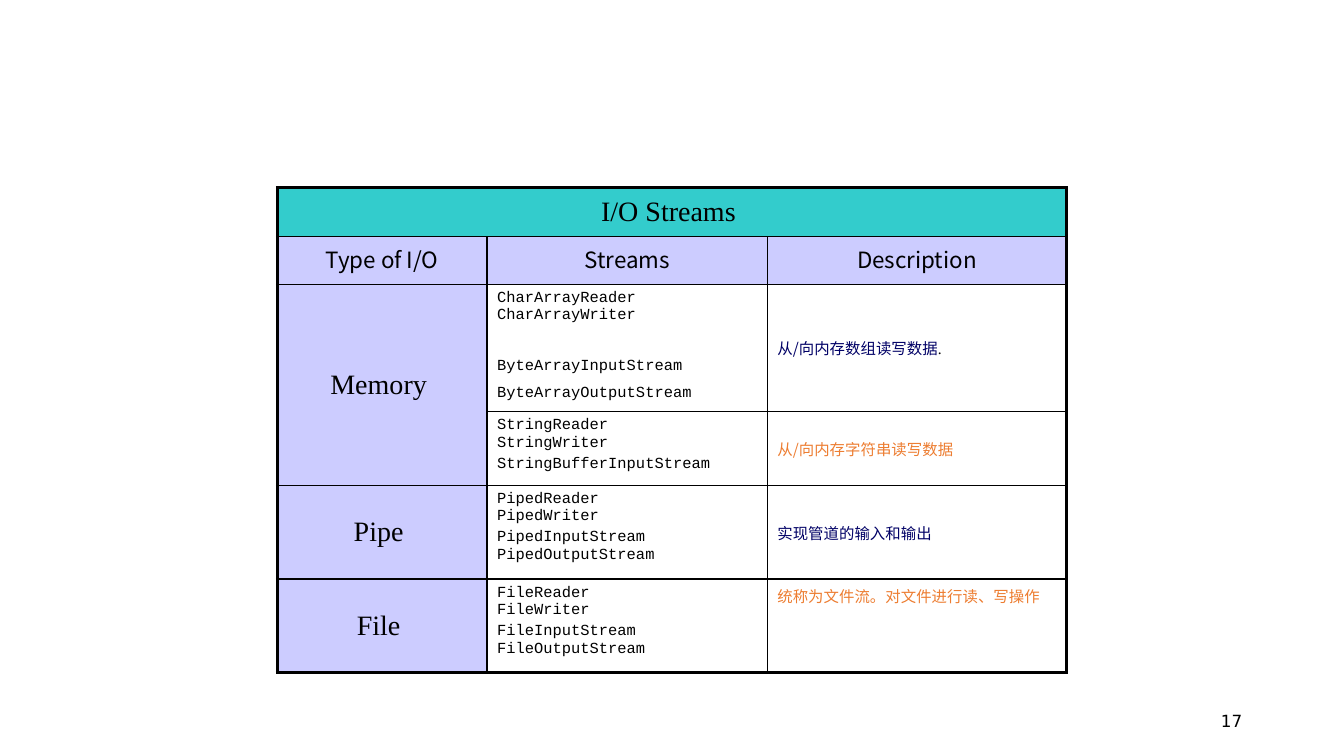
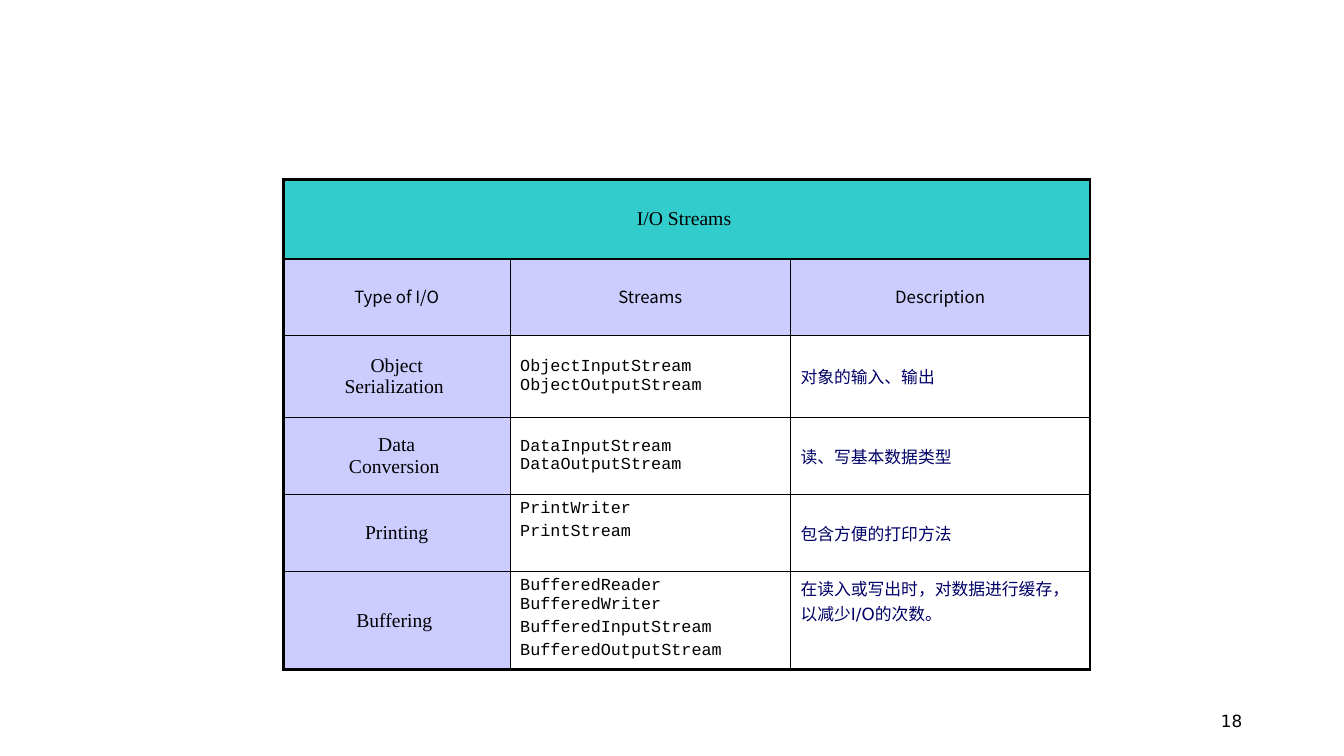
"""Two slides of I/O stream tables."""
from dataclasses import dataclass

import lxml.etree
import pptx
import pptx.dml.color
import pptx.enum.text
import pptx.oxml.ns
import pptx.util

Inches = pptx.util.Inches
Pt = pptx.util.Pt
RGBColor = pptx.dml.color.RGBColor
Align = pptx.enum.text.PP_ALIGN
Anchor = pptx.enum.text.MSO_ANCHOR
qn = pptx.oxml.ns.qn
Child = lxml.etree.SubElement

BLACK = RGBColor(0x00, 0x00, 0x00)
TEAL = RGBColor(0x33, 0xCC, 0xCC)
LILAC = RGBColor(0xCC, 0xCC, 0xFF)
NAVY = RGBColor(0x00, 0x00, 0x66)
ORANGE = RGBColor(0xED, 0x7D, 0x31)
SERIF, MONO, SANS, HAN = "Times New Roman", "Courier New", "DejaVu Sans", "Noto Sans CJK SC"
TITLE = "I/O Streams "
HEADS = ("Type of I/O", "Streams", "Description")
THIN, THICK = 1, 2.25


@dataclass
class Look:
    """Font, size and colour of a run."""
    font: str
    size: float
    color: RGBColor = BLACK


@dataclass
class Bit:
    """A piece of a description."""
    text: str
    color: RGBColor = NAVY
    font: str = HAN


@dataclass
class Row:
    """A body row; an empty label joins the row above."""
    label: str
    codes: str
    note: tuple[Bit, ...]
    code_mid: bool = False
    note_mid: bool = True
    lead: float = 0
    tail: float = 0


@dataclass
class Grid:
    """A stream table and its page number."""
    page: str
    left: float
    top: float
    cols: tuple[float, ...]
    highs: tuple[float, ...]
    big: float
    head: float
    body: float
    rows: tuple[Row, ...]


GRIDS = (
    Grid("17", 2.75, 1.86, (2.08, 2.78, 2.97), (0.49, 0.47, 1.26, 0.73, 0.93, 0.93),
         20, 16, 11, (
             Row("Memory ", "CharArrayReader\vCharArrayWriter\n"
                 "ByteArrayInputStream\vByteArrayOutputStream",
                 (Bit("从/向内存数组读写数据"), Bit(".", BLACK, SERIF)), lead=24, tail=20),
             Row("", "StringReader\vStringWriter\nStringBufferInputStream",
                 (Bit("从/向内存字符串读写数据", ORANGE),)),
             Row("Pipe ", "PipedReader\vPipedWriter\nPipedInputStream\vPipedOutputStream",
                 (Bit("实现管道的输入和输出"),)),
             Row("File ", "FileReader\vFileWriter\nFileInputStream\vFileOutputStream",
                 (Bit("统称为文件流。对文件进行读、写操作", ORANGE),), note_mid=False))),
    Grid("18", 2.81, 1.78, (2.25, 2.78, 2.97), (0.79, 0.76, 0.81, 0.77, 0.76, 0.97),
         14, 12, 12, (
             Row("Object\vSerialization ", "ObjectInputStream\vObjectOutputStream",
                 (Bit("对象的输入、输出"),), code_mid=True),
             Row("Data\vConversion ", "DataInputStream\vDataOutputStream",
                 (Bit("读、写基本数据类型"),), code_mid=True),
             Row(" Printing ", "PrintWriter\nPrintStream", (Bit("包含方便的打印方法"),)),
             Row("Buffering ", "BufferedReader\vBufferedWriter\n"
                 "BufferedInputStream\vBufferedOutputStream",
                 (Bit("在读入或写出时，对数据进行缓存，以减少"), Bit("I/O", font=SANS),
                  Bit("的次数。")), note_mid=False, tail=14))),
)


def style(run, look: Look) -> None:
    """Format one run, for Latin and Chinese text alike."""
    run.font.size = Pt(look.size)
    run.font.color.rgb = look.color
    run.font.name = look.font
    Child(run.font._element, qn("a:ea"), typeface=HAN if look.font == SANS else look.font)


def append(para, text: str, look: Look) -> None:
    """Add a formatted run to a paragraph."""
    run = para.add_run()
    run.text = text
    style(run, look)


def write(cell, text: str, look: Look, align=Align.LEFT, mid: bool = True) -> None:
    """Put text in a cell, each paragraph a fifth of a line apart."""
    cell.text_frame.text = text
    cell.vertical_anchor = Anchor.MIDDLE if mid else Anchor.TOP
    for para in cell.text_frame.paragraphs:
        para.alignment = align
        space = Child(para._p.get_or_add_pPr(), qn("a:spcBef"))
        Child(space, qn("a:spcPct"), val="20000")
        for run in para.runs:
            style(run, look)
        for stop in para._p.findall(qn("a:br")):
            Child(stop, qn("a:rPr"), sz=str(int(look.size * 100)))


def edge(cell, tag: str, width: float) -> None:
    """Draw one black side of a cell."""
    line = Child(cell._tc.get_or_add_tcPr(), qn(tag), w=str(int(Pt(width))))
    Child(Child(line, qn("a:solidFill")), qn("a:srgbClr"), val=str(BLACK))


def frame(table, row: int, col: int) -> None:
    """Give a cell its borders and fill by its place in the table."""
    cell = table.cell(row, col)
    wide = cell.span_width if cell.is_merge_origin else 1
    last = len(table.rows) - 1
    sides = (("a:lnL", col == 0), ("a:lnR", col + wide == len(table.columns)),
             ("a:lnT", row == 0), ("a:lnB", row == last))
    for tag, outer in sides:
        edge(cell, tag, THICK if outer else THIN)
    if row > 1 and col > 0:
        cell.fill.background()
    else:
        cell.fill.solid()
        cell.fill.fore_color.rgb = LILAC if row else TEAL


def fill_row(table, at: int, row: Row, grid: Grid) -> None:
    """Write the label, streams and description of a body row."""
    label, codes, note = (table.cell(at, col) for col in range(3))
    if row.label:
        write(label, row.label, Look(SERIF, grid.big), Align.CENTER)
    else:
        table.cell(at - 1, 0).merge(label)
    write(codes, row.codes, Look(MONO, grid.body), mid=row.code_mid)
    final = codes.text_frame.paragraphs[-1]
    if row.lead:
        final.space_before = Pt(row.lead)
        final.line_spacing = 0.9
    if row.tail:
        append(final, " ", Look(SANS, row.tail))
    first, *rest = row.note
    write(note, first.text, Look(first.font, grid.body, first.color), mid=row.note_mid)
    for bit in rest:
        append(note.text_frame.paragraphs[0], bit.text, Look(bit.font, grid.body, bit.color))


def draw_grid(slide, grid: Grid) -> None:
    """Draw the stream table."""
    table = slide.shapes.add_table(
        len(grid.highs), len(grid.cols), Inches(grid.left), Inches(grid.top),
        Inches(sum(grid.cols)), Inches(sum(grid.highs))).table
    table.first_row = table.horz_banding = False
    for col, width in zip(table.columns, grid.cols):
        col.width = Inches(width)
    for row, high in zip(table.rows, grid.highs):
        row.height = Inches(high)
    table.cell(0, 0).merge(table.cell(0, 2))
    write(table.cell(0, 0), TITLE, Look(SERIF, grid.big), Align.CENTER)
    for col, text in enumerate(HEADS):
        cell = table.cell(1, col)
        write(cell, text, Look(HAN, grid.head), Align.CENTER)
        cell.text_frame.paragraphs[0].line_spacing = 0.8
    for at, row in enumerate(grid.rows, 2):
        fill_row(table, at, row, grid)
    for row in range(len(grid.highs)):
        for col in range(len(grid.cols)):
            frame(table, row, col)


def draw_page(slide, page: str) -> None:
    """Write the page number at the lower right."""
    box = slide.shapes.add_textbox(Inches(9.42), Inches(6.95), Inches(3), Inches(0.4))
    text = box.text_frame
    text.word_wrap = True
    text.vertical_anchor = Anchor.MIDDLE
    text.text = page
    text.paragraphs[0].alignment = Align.RIGHT
    style(text.paragraphs[0].runs[0], Look(SANS, 12))


def main() -> None:
    """Build and save the slides."""
    deck = pptx.Presentation()
    deck.slide_width, deck.slide_height = Inches(13.33), Inches(7.5)
    for grid in GRIDS:
        slide = deck.slides.add_slide(deck.slide_layouts[6])
        draw_page(slide, grid.page)
        draw_grid(slide, grid)
    deck.save("out.pptx")


main()
